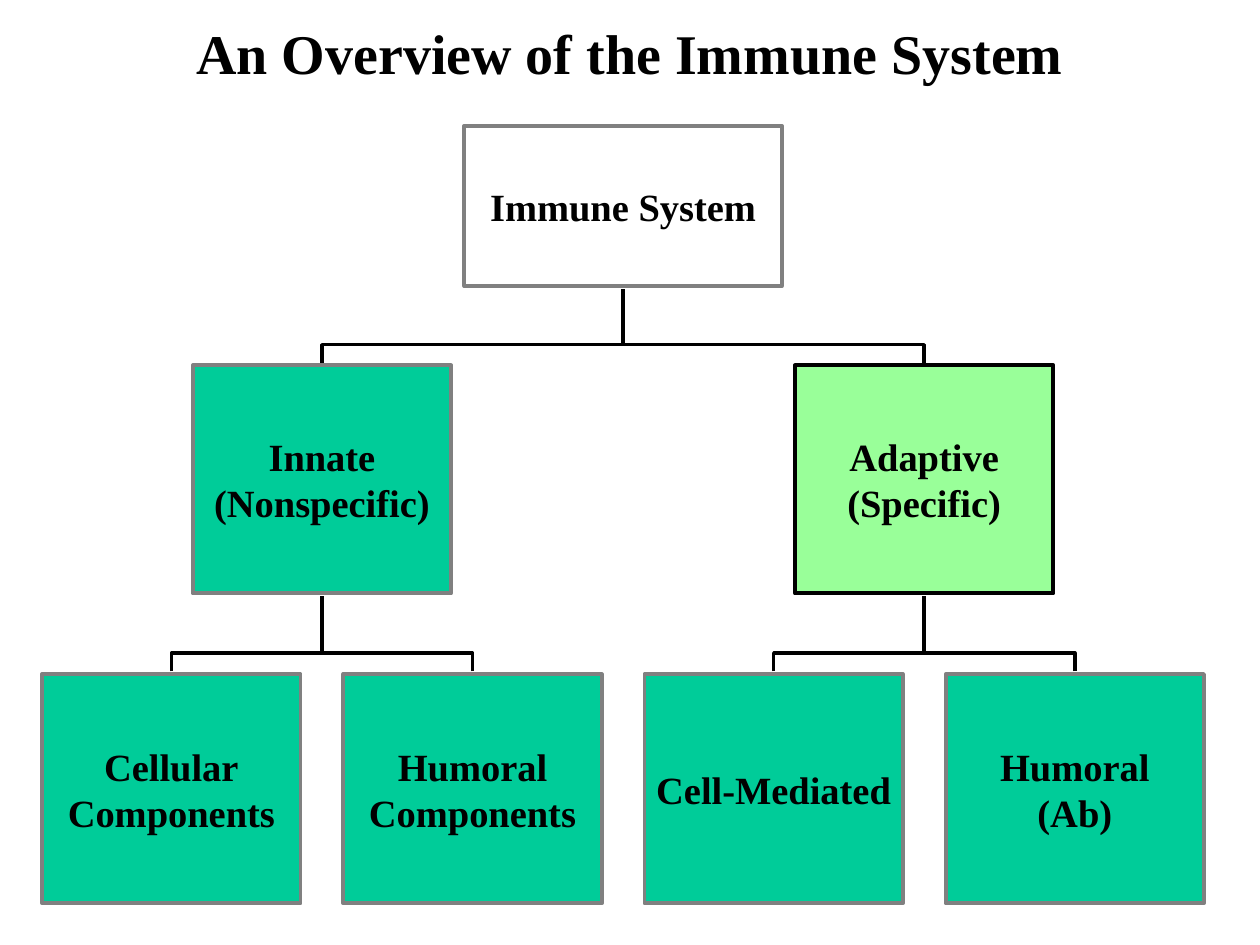
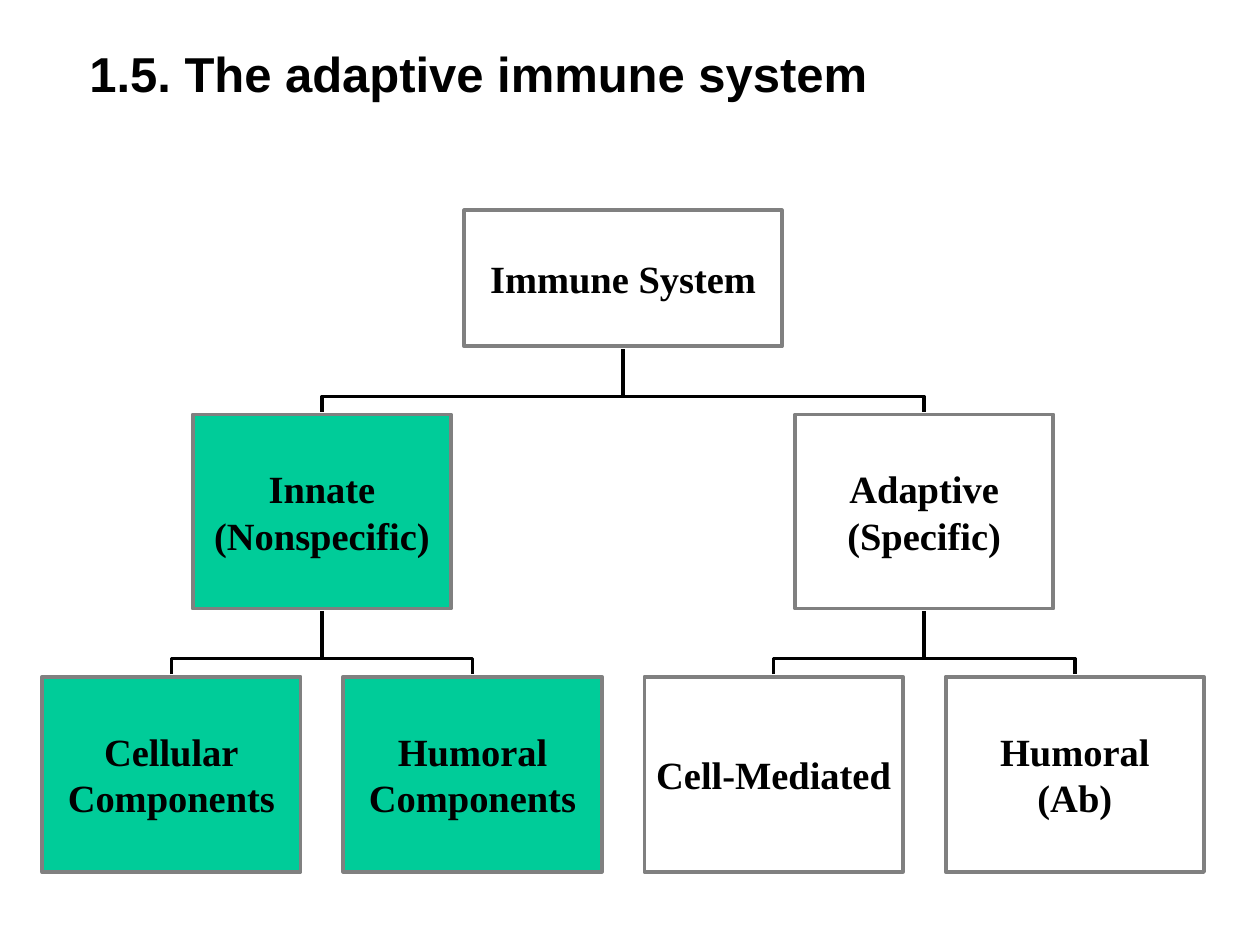
from lxml import etree
from pptx import Presentation
from pptx.dml.color import RGBColor
from pptx.enum.shapes import MSO_CONNECTOR, MSO_SHAPE
from pptx.enum.text import MSO_ANCHOR, PP_ALIGN
from pptx.oxml.ns import qn
from pptx.util import Inches, Pt

BLACK, WHITE, GRAY = "000000", "FFFFFF", "808080"
TEAL, LIME = "00CC99", "99FF99"
SERIF, SANS = "Times New Roman", "Arial"

LEAF_PITCH = 2.39
LEAF_X = [1.36 + LEAF_PITCH * i for i in range(4)]
BRANCH_X = [(LEAF_X[i] + LEAF_X[i + 1]) / 2 for i in (0, 2)]
ROOT_X = sum(BRANCH_X) / 2
ROOT_WIDTH, NODE_WIDTH = 2.52, 2.05
LINE_GAP = 0.02

ROOT = "Immune System"
BRANCHES = ["Innate\n(Nonspecific)", "Adaptive\n(Specific)"]
LEAVES = ["Cellular\nComponents", "Humoral\nComponents", "Cell-Mediated", "Humoral\n(Ab)"]


def rgb(color):
    return RGBColor.from_string(color)


class Deck:
    def __init__(self):
        self.prs = Presentation()
        self.prs.slide_width, self.prs.slide_height = Inches(10), Inches(7.5)

    def new_slide(self):
        self.s = self.prs.slides.add_slide(self.prs.slide_layouts[6])

    def set_text(self, tf, text, font, size, align):
        tf.vertical_anchor = MSO_ANCHOR.MIDDLE
        for i, line in enumerate(text.split("\n")):
            p = tf.add_paragraph() if i else tf.paragraphs[0]
            p.text = line
            p.alignment = align
            p.font.name, p.font.size, p.font.bold = font, Pt(size), True
            p.font.color.rgb = rgb(BLACK)

    def title(self, text, top, height, font, size, align, indent=0.1):
        sp = self.s.shapes.add_textbox(Inches(0.5), Inches(top), Inches(9), Inches(height))
        tf = sp.text_frame
        tf.word_wrap = True
        tf.margin_left = Inches(indent)
        self.set_text(tf, text, font, size, align)

    def node(self, text, center, row, width=NODE_WIDTH, fill=TEAL, line=GRAY):
        top, height = row
        sp = self.s.shapes.add_shape(MSO_SHAPE.RECTANGLE, Inches(center - width / 2),
                                     Inches(top), Inches(width), Inches(height))
        sp.shadow.inherit = False
        sp.fill.solid()
        sp.fill.fore_color.rgb = rgb(fill)
        sp.line.color.rgb = rgb(line)
        sp.line.width = Pt(2.25)
        tf = sp.text_frame
        tf.word_wrap = False
        tf.margin_left = tf.margin_right = Inches(0.09)
        tf.margin_top = tf.margin_bottom = Inches(0.04)
        self.set_text(tf, text, SERIF, 22, PP_ALIGN.CENTER)

    def link(self, child_x, child_row, parent_x, parent_row):
        start = child_row[0] - LINE_GAP
        end = sum(parent_row) + LINE_GAP
        drop, span = start - end, abs(child_x - parent_x)
        left = (child_x + parent_x - drop) / 2
        top = (start + end - span) / 2
        x1, x2, angle = left, left + drop, 270
        if child_x < parent_x:
            x1, x2, angle = x2, x1, 90
        cxn = self.s.shapes.add_connector(MSO_CONNECTOR.ELBOW, Inches(x1), Inches(top + span),
                                          Inches(x2), Inches(top))
        cxn.line.color.rgb = rgb(BLACK)
        cxn.line.width = Pt(2)
        spPr = cxn._element.spPr
        spPr.find(qn("a:xfrm")).set("rot", str(angle * 60000))
        guides = spPr.find(qn("a:prstGeom")).find(qn("a:avLst"))
        etree.SubElement(guides, qn("a:gd"), name="adj1", fmla="val 24500")
        etree.SubElement(spPr, qn("a:effectLst"))

    def tree(self, rows, adaptive_fill, adaptive_line, adaptive_leaf_fill):
        root_row, branch_row, leaf_row = rows
        for i, x in enumerate(LEAF_X):
            self.link(x, leaf_row, BRANCH_X[i // 2], branch_row)
        for x in BRANCH_X:
            self.link(x, branch_row, ROOT_X, root_row)
        self.node(ROOT, ROOT_X, root_row, ROOT_WIDTH, WHITE)
        styles = [(TEAL, GRAY), (adaptive_fill, adaptive_line)]
        for text, x, (fill, line) in zip(BRANCHES, BRANCH_X, styles):
            self.node(text, x, branch_row, fill=fill, line=line)
        for i, (text, x) in enumerate(zip(LEAVES, LEAF_X)):
            self.node(text, x, leaf_row, fill=TEAL if i < 2 else adaptive_leaf_fill)


def main():
    deck = Deck()

    deck.new_slide()
    deck.title("An Overview of the Immune System", 0, 0.83, SERIF, 32, PP_ALIGN.CENTER)
    deck.tree([(1, 1.27), (2.9, 1.81), (5.35, 1.82)], LIME, BLACK, TEAL)

    deck.new_slide()
    deck.title("1.5. The adaptive immune system", 0.08, 1, SANS, 28, PP_ALIGN.LEFT, indent=0.21)
    deck.tree([(1.67, 1.08), (3.29, 1.54), (5.37, 1.55)], WHITE, GRAY, WHITE)

    deck.prs.save("out.pptx")


if __name__ == "__main__":
    main()
